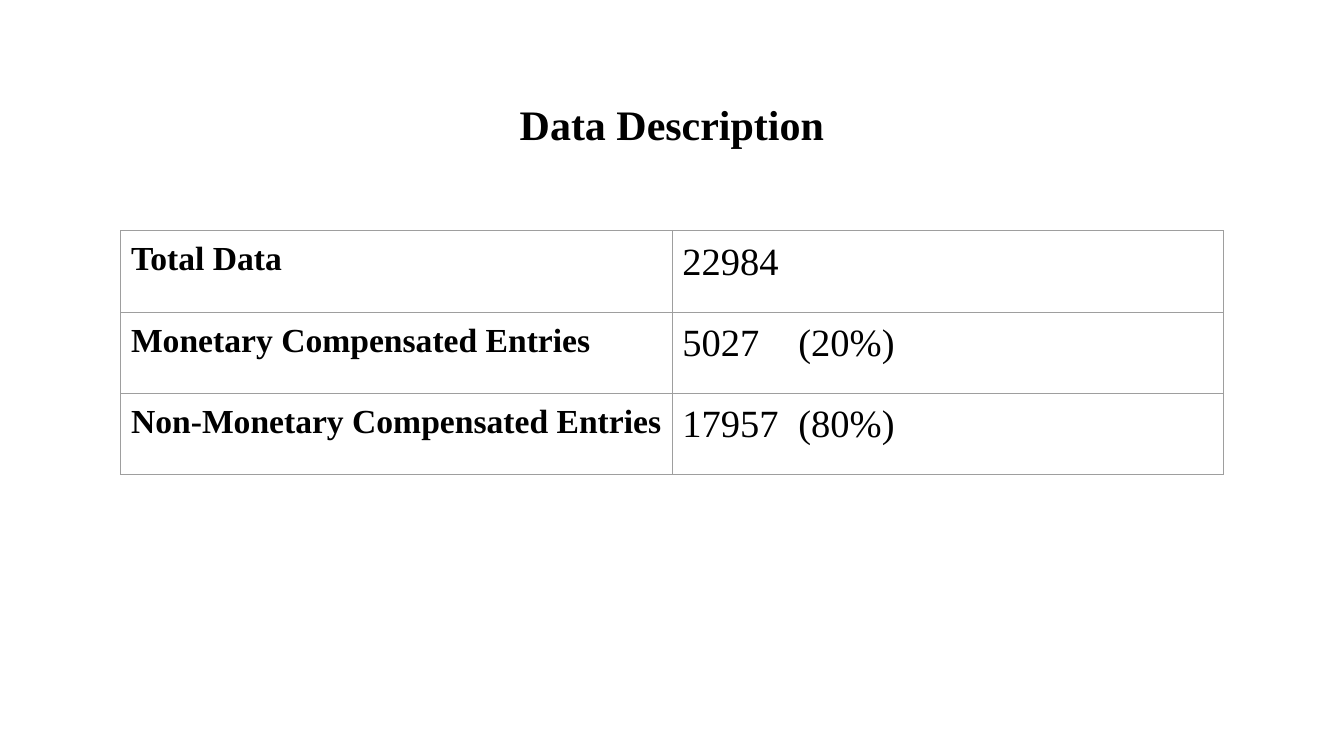
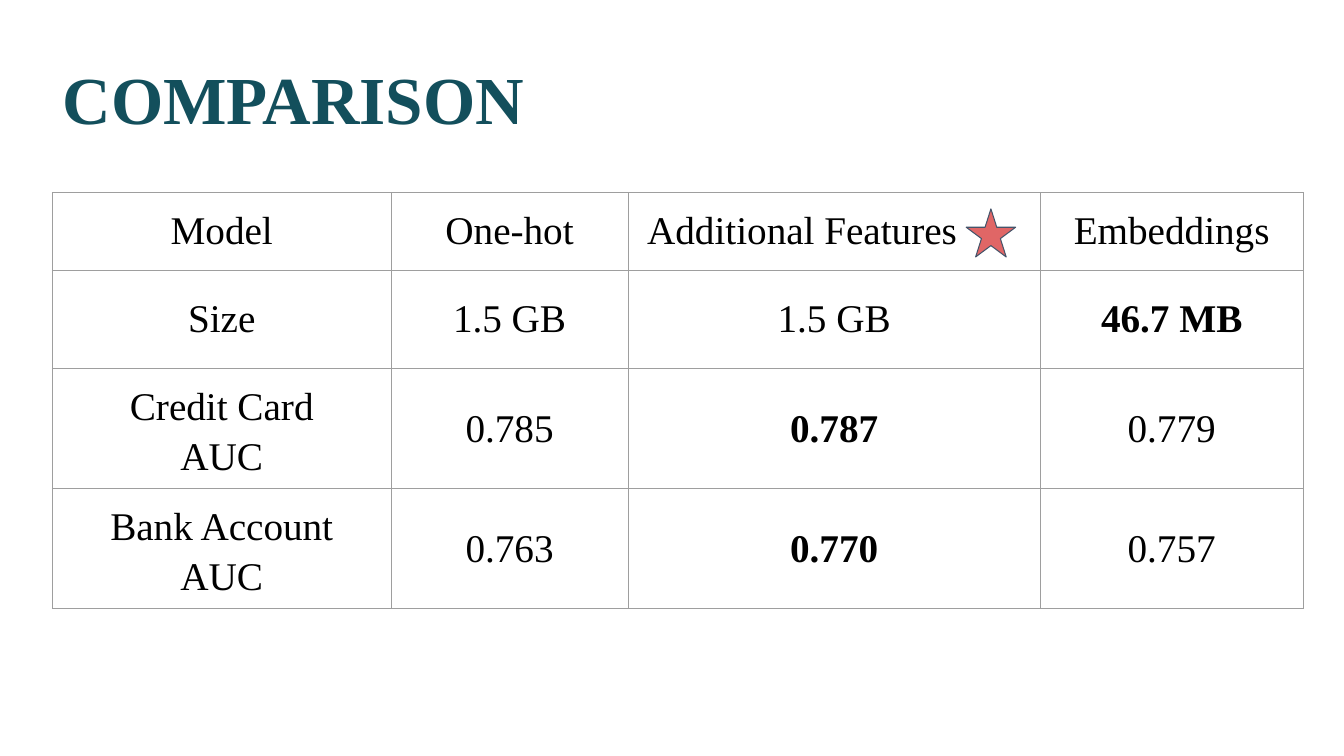
import pptx
import pptx.util
import pptx.dml.color
import pptx.enum.shapes
import pptx.enum.text
import pptx.oxml.ns
import lxml.etree
from dataclasses import dataclass, field
from itertools import product

Pt, Inches = pptx.util.Pt, pptx.util.Inches
RGB = pptx.dml.color.RGBColor.from_string
ALIGN, ANCHOR = pptx.enum.text.PP_ALIGN, pptx.enum.text.MSO_ANCHOR
qn = pptx.oxml.ns.qn

SLIDE_W, SLIDE_H = Inches(13.33), Inches(7.5)
COL, ROW = SLIDE_W / 100, SLIDE_H / 100  # a grid of 100 columns by 100 rows


@dataclass(frozen=True)
class Theme:
    font: str = "Times New Roman"
    ink: str = "000000"
    teal: str = "134F5C"
    border: str = "9E9E9E"
    star_fill: str = "E06666"
    star_line: str = "44546A"
    line_width: float = 0.75
    inset: float = 0.1
    indent: float = 0.19
    tab: float = 1.15
    leading: float = 1.15
    title: float = 30
    big_title: float = 48
    label: float = 24
    count: float = 27.5
    body: float = 28


THEME = Theme()


@dataclass(frozen=True)
class Box:
    """A region in grid columns (x, w) and grid rows (y, h)."""
    x: float
    y: float
    w: float
    h: float

    def inner(self, x, y, w, h):
        """Return the region covering the given shares of this one."""
        return Box(self.x + x * self.w, self.y + y * self.h, w * self.w, h * self.h)

    def emu(self):
        return (round(self.x * COL), round(self.y * ROW),
                round(self.w * COL), round(self.h * ROW))


@dataclass
class Entry:
    """The content and style of one table cell."""
    lines: list = field(default_factory=list)
    size: float = THEME.body
    bold: bool = False
    align: object = ALIGN.CENTER
    anchor: object = ANCHOR.MIDDLE
    indent: float = THEME.inset
    tab: float = 0


def set_insets(frame, left=THEME.inset):
    frame.margin_left = Inches(left)
    frame.margin_right = frame.margin_top = frame.margin_bottom = Inches(THEME.inset)


def add_run(p, text, size, bold=False, color=THEME.ink):
    r = p.add_run()
    r.text = text
    r.font.name, r.font.size, r.font.bold = THEME.font, Pt(size), bold
    r.font.color.rgb = RGB(color)


def add_tab_stop(p, inches):
    tabs = lxml.etree.SubElement(p._p.get_or_add_pPr(), qn("a:tabLst"))
    lxml.etree.SubElement(tabs, qn("a:tab"), pos=str(Inches(inches)), algn="l")


def set_borders(cell):
    tc_pr = cell._tc.get_or_add_tcPr()
    for i, side in enumerate(("lnL", "lnR", "lnT", "lnB")):
        ln = lxml.etree.Element(qn("a:" + side), w=str(Pt(THEME.line_width)))
        fill = lxml.etree.SubElement(ln, qn("a:solidFill"))
        lxml.etree.SubElement(fill, qn("a:srgbClr"), val=THEME.border)
        tc_pr.insert(i, ln)


def new_slide(prs, title, box, size, color=THEME.ink, align=ALIGN.LEFT):
    slide = prs.slides.add_slide(prs.slide_layouts[5])
    sp = slide.shapes.title
    sp.left, sp.top, sp.width, sp.height = box.emu()
    tf = sp.text_frame
    tf.word_wrap = True
    tf.auto_size = pptx.enum.text.MSO_AUTO_SIZE.NONE
    tf.vertical_anchor = ANCHOR.TOP
    set_insets(tf)
    p = tf.paragraphs[0]
    p.alignment, p.line_spacing = align, THEME.leading
    add_run(p, title, size, True, color)
    return slide


def fill_cell(cell, entry):
    cell.fill.background()
    set_borders(cell)
    set_insets(cell, entry.indent)
    cell.vertical_anchor = entry.anchor
    tf = cell.text_frame
    for i, line in enumerate(entry.lines):
        p = tf.add_paragraph() if i else tf.paragraphs[0]
        p.alignment = entry.align
        if len(entry.lines) > 1:
            p.line_spacing = THEME.leading
        if entry.tab:
            add_tab_stop(p, entry.tab)
        add_run(p, line, entry.size, entry.bold)


def add_grid_table(slide, x, y, cols, rows, entries):
    box = Box(x, y, sum(cols), sum(rows))
    table = slide.shapes.add_table(len(rows), len(cols), *box.emu()).table
    table.first_row = table.horz_banding = False
    for column, w in zip(table.columns, cols):
        column.width = round(w * COL)
    for row, h in zip(table.rows, rows):
        row.height = round(h * ROW)
    for i, j in product(range(len(rows)), range(len(cols))):
        fill_cell(table.cell(i, j), entries[i][j])


def add_star(slide, box):
    sp = slide.shapes.add_shape(pptx.enum.shapes.MSO_SHAPE.STAR_5_POINT, *box.emu())
    sp.shadow.inherit = False
    sp.fill.solid()
    sp.fill.fore_color.rgb = RGB(THEME.star_fill)
    sp.line.color.rgb = RGB(THEME.star_line)
    sp.line.width = Pt(THEME.line_width)


def data_description(prs):
    slide = new_slide(prs, "Data Description", Box(37.8, 10.67, 24.4, 11.47),
                      THEME.title, align=ALIGN.CENTER)
    data = [("Total Data", "22984"),
            ("Monetary Compensated Entries", "5027\t(20%)"),
            ("Non-Monetary Compensated Entries", "17957\t(80%)")]
    plain = dict(align=ALIGN.LEFT, anchor=ANCHOR.TOP)
    entries = [[Entry([label], THEME.label, True, **plain),
                Entry([count], THEME.count, tab=THEME.tab, **plain)]
               for label, count in data]
    add_grid_table(slide, 9, 30.53, [41.03] * 2, [10.75] * 3, entries)


def comparison(prs):
    left, top = 3.9, 25.47
    cols, rows = [25.2, 17.63, 30.68, 19.55], [10.27, 13.07, 15.87, 15.87]
    slide = new_slide(prs, "COMPARISON", Box(left, 4.67, 38.85, 11.73),
                      THEME.big_title, THEME.teal)
    data = [("Model", "One-hot", "Additional Features", "Embeddings"),
            ("Size", "1.5 GB", "1.5 GB", "46.7 MB"),
            ("Credit Card\nAUC", "0.785", "0.787", "0.779"),
            ("Bank Account\nAUC", "0.763", "0.770", "0.757")]
    best = {"46.7 MB", "0.787", "0.770"}
    entries = [[Entry(text.split("\n"), bold=text in best) for text in row]
               for row in data]
    winner = 2
    entries[0][winner].align = ALIGN.LEFT
    entries[0][winner].indent = THEME.indent
    add_grid_table(slide, left, top, cols, rows, entries)
    header = Box(left + sum(cols[:winner]), top, cols[winner], rows[0])
    add_star(slide, header.inner(0.82, 0.21, 0.12, 0.62))


def main():
    prs = pptx.Presentation()
    prs.slide_width, prs.slide_height = SLIDE_W, SLIDE_H
    data_description(prs)
    comparison(prs)
    prs.save("out.pptx")


if __name__ == "__main__":
    main()
